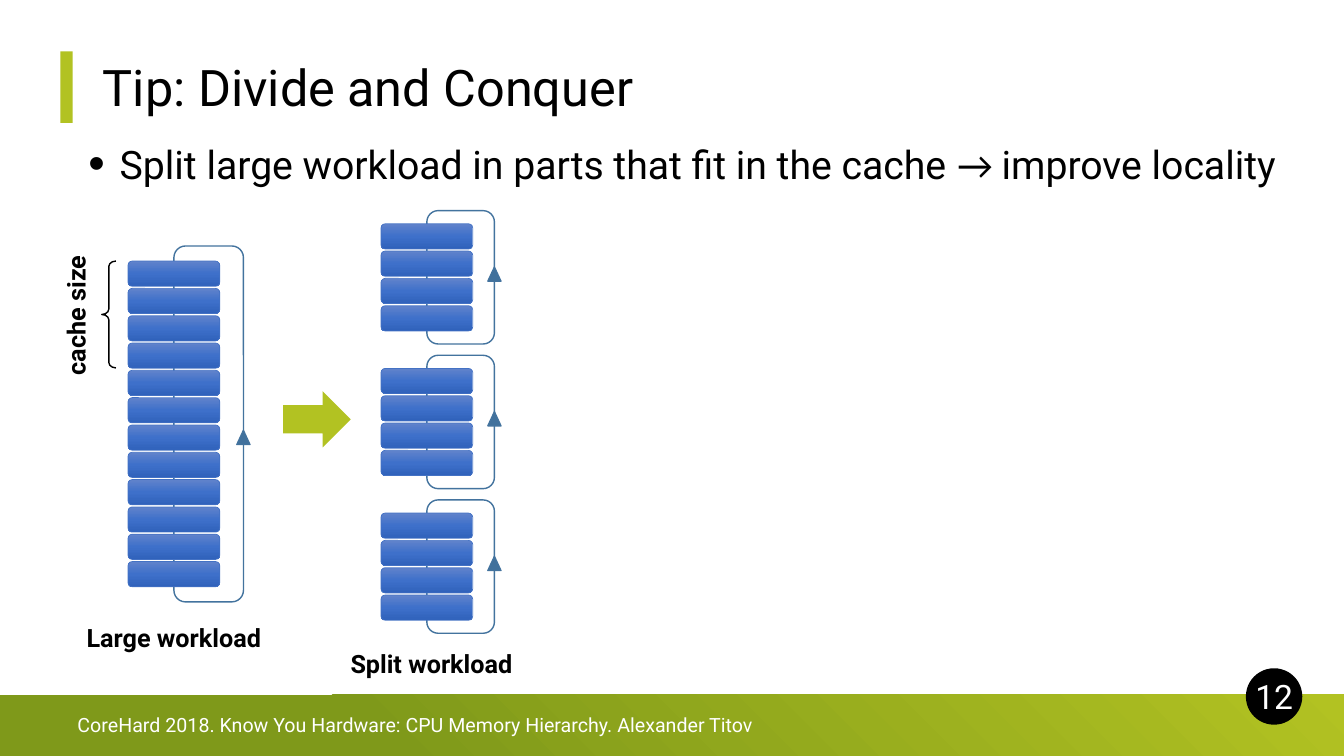
"""Build the slide on splitting a large workload into cache-sized parts."""
from copy import deepcopy
from dataclasses import dataclass

from lxml import etree
from pptx import Presentation
from pptx.dml.color import RGBColor
from pptx.enum.shapes import MSO_SHAPE
from pptx.enum.text import MSO_ANCHOR, MSO_AUTO_SIZE, PP_ALIGN
from pptx.oxml.ns import qn
from pptx.util import Emu, Inches, Pt

RECT, ROUNDED = MSO_SHAPE.RECTANGLE, MSO_SHAPE.ROUNDED_RECTANGLE
OVAL, TRIANGLE = MSO_SHAPE.OVAL, MSO_SHAPE.ISOSCELES_TRIANGLE
BRACE, ARROW = MSO_SHAPE.LEFT_BRACE, MSO_SHAPE.RIGHT_ARROW
LEFT, CENTER = PP_ALIGN.LEFT, PP_ALIGN.CENTER
TOP, MIDDLE, BOTTOM = MSO_ANCHOR.TOP, MSO_ANCHOR.MIDDLE, MSO_ANCHOR.BOTTOM
NO_AUTOFIT = MSO_AUTO_SIZE.NONE

GRID = Inches(0.1)
COLUMNS, ROWS = 133.33, 75
BLOCK_WIDTH, BLOCK_HEIGHT, BLOCK_PITCH = 9.1, 2.5, 2.71
MARK_WIDTH, MARK_HEIGHT = 1.3, 1.4
SPLIT_PITCH = 14.35
TITLE_ONLY = 5


@dataclass(frozen=True)
class Theme:
    """Colours, fonts and type sizes of the slide."""
    ink: str = "000000"
    paper: str = "FFFFFF"
    accent: str = "B2C222"
    loop: str = "43739E"
    mark: str = "41719C"
    block_edge: str = "4472C4"
    band: tuple = ((0, "7F991A"), (0.28, "7F991A"), (1, "B2C222"))
    block: tuple = ((0, "6183CB"), (0.5, "3E70CA"), (1, "3062BB"))
    font: str = "Roboto"
    arrow_font: str = "Calibri"
    title: int = 36
    body: int = 28
    number: int = 24
    label: int = 18
    footer: int = 14


THEME = Theme()


@dataclass(frozen=True)
class Area:
    """A rectangle in grid columns and rows."""
    column: float
    row: float
    width: float
    height: float

    def box(self) -> tuple:
        """Return left, top, width and height in EMU."""
        return tuple(Emu(round(cells * GRID)) for cells in
                     (self.column, self.row, self.width, self.height))


@dataclass(frozen=True)
class Words:
    """One run of text and its format."""
    text: str
    size: int
    color: str = THEME.ink
    bold: bool = False
    font: str = THEME.font


@dataclass(frozen=True)
class Label:
    """A text box made of runs."""
    area: Area
    runs: tuple
    align: int = CENTER
    anchor: int = MIDDLE
    wrap: bool = False
    turn: int = 0


@dataclass(frozen=True)
class Stack:
    """Blocks of a workload with the loop that runs over them."""
    column: float
    row: float
    count: int
    loop_width: float
    overhang: float
    mark_row: float


STACKS = (
    Stack(12.7, 25.9, 12, 6.9, 1.5, 42.7),
    *(Stack(37.8, 22.2 + part * SPLIT_PITCH, 4, 6.7, 1.3,
            26.5 + part * SPLIT_PITCH) for part in range(3)),
)

LABELS = (
    Label(Area(6.7, 69.5, 110, 4.8),
          (Words("CoreHard 2018. Know You Hardware: CPU Memory Hierarchy. "
                 "Alexander Titov", THEME.footer, THEME.paper),),
          align=LEFT, wrap=True),
    Label(Area(122.8, 66.3, 7.2, 5.6),
          (Words("12", THEME.number, THEME.paper),), wrap=True),
    Label(Area(94, 13.4, 34, 5.7),
          (Words("→ ", THEME.body, font=THEME.arrow_font),
           Words("improve locality", THEME.body)), align=LEFT, anchor=TOP),
    Label(Area(0.5, 29.3, 14, 4),
          (Words("cache size", THEME.label, bold=True),), turn=270),
    Label(Area(7.5, 61.2, 19.5, 4),
          (Words("Large workload", THEME.label, bold=True),)),
    Label(Area(33.7, 63.8, 18.2, 4),
          (Words("Split workload", THEME.label, bold=True),)),
)


def add_runs(paragraph, runs: tuple) -> None:
    """Append formatted runs to a paragraph."""
    for words in runs:
        run = paragraph.add_run()
        run.text = words.text
        run.font.size = Pt(words.size)
        run.font.name = words.font
        run.font.bold = words.bold
        run.font.color.rgb = RGBColor.from_string(words.color)


def add_label(slide, label: Label):
    """Draw a text box and return its paragraph."""
    box = slide.shapes.add_textbox(*label.area.box())
    box.rotation = label.turn
    frame = box.text_frame
    frame.word_wrap = label.wrap
    frame.vertical_anchor = label.anchor
    paragraph = frame.paragraphs[0]
    paragraph.alignment = label.align
    add_runs(paragraph, label.runs)
    return paragraph


def add_form(slide, kind: int, area: Area, fill: str = "", line: str = "",
             line_width: float = 1):
    """Draw a preset shape with an optional solid fill and line."""
    form = slide.shapes.add_shape(kind, *area.box())
    form.shadow.inherit = False
    if fill:
        form.fill.solid()
        form.fill.fore_color.rgb = RGBColor.from_string(fill)
    else:
        form.fill.background()
    if line:
        form.line.color.rgb = RGBColor.from_string(line)
        form.line.width = Pt(line_width)
    else:
        form.line.fill.background()
    return form


def shade(form, stops: tuple, angle: int) -> None:
    """Fill a shape with a linear gradient of three stops."""
    form.fill.gradient()
    form.fill.gradient_angle = angle
    stop_list = next(form.element.iter(qn("a:gsLst")))
    stop_list.append(deepcopy(stop_list[0]))
    for stop, (position, color) in zip(form.fill.gradient_stops, stops):
        stop.position = position
        stop.color.rgb = RGBColor.from_string(color)


def add_stack(slide, stack: Stack) -> None:
    """Draw a loop, its direction mark and the blocks over it."""
    middle = stack.column + BLOCK_WIDTH / 2
    blocks_height = (stack.count - 1) * BLOCK_PITCH + BLOCK_HEIGHT
    add_form(slide, ROUNDED,
             Area(middle, stack.row - stack.overhang, stack.loop_width,
                  blocks_height + 2 * stack.overhang),
             THEME.paper, THEME.loop)
    add_form(slide, TRIANGLE,
             Area(middle + stack.loop_width - MARK_WIDTH / 2, stack.mark_row,
                  MARK_WIDTH, MARK_HEIGHT), THEME.mark, THEME.loop)
    for index in range(stack.count):
        block = add_form(slide, ROUNDED,
                         Area(stack.column, stack.row + index * BLOCK_PITCH,
                              BLOCK_WIDTH, BLOCK_HEIGHT),
                         line=THEME.block_edge, line_width=0.5)
        shade(block, THEME.block, 270)


def add_title(slide) -> None:
    """Place and format the title."""
    title = slide.shapes.title
    title.left, title.top, title.width, title.height = Area(
        9.2, 0, 115, 12.2).box()
    frame = title.text_frame
    frame.auto_size = NO_AUTOFIT
    frame.vertical_anchor = BOTTOM
    paragraph = frame.paragraphs[0]
    paragraph.alignment = LEFT
    paragraph.line_spacing = 0.9
    add_runs(paragraph, (Words("Tip: Divide and Conquer", THEME.title),))


def add_tip(slide) -> None:
    """Draw the bulleted advice."""
    advice = Words("Split large workload in parts that fit in the cache",
                   THEME.body)
    paragraph = add_label(slide, Label(Area(7.8, 14.3, 89, 4.8), (advice,),
                                       LEFT, TOP, True))
    paragraph.line_spacing = 0.8
    properties = paragraph._p.get_or_add_pPr()
    properties.set("marL", str(Inches(0.31)))
    properties.set("indent", str(-Inches(0.31)))
    etree.SubElement(properties, qn("a:buSzPct")).set("val", "120000")
    etree.SubElement(properties, qn("a:buFont")).set("typeface", "Arial")
    etree.SubElement(properties, qn("a:buChar")).set("char", "•")


def main() -> None:
    """Assemble and save the slide."""
    deck = Presentation()
    deck.slide_width, deck.slide_height = Area(0, 0, COLUMNS, ROWS).box()[2:]
    slide = deck.slides.add_slide(deck.slide_layouts[TITLE_ONLY])
    band = add_form(slide, RECT, Area(0, 68.9, COLUMNS, 6.1))
    shade(band, THEME.band, 45)
    add_form(slide, RECT, Area(6, 5.1, 1.2, 7.1), THEME.accent)
    add_form(slide, OVAL, Area(123.6, 66.3, 5.6, 5.6), THEME.ink)
    add_title(slide)
    add_tip(slide)
    for stack in STACKS:
        add_stack(slide, stack)
    brace = add_form(slide, BRACE, Area(10.1, 25.9, 1.4, 10.6),
                     line=THEME.ink)
    brace.adjustments[0] = 0.38
    add_form(slide, ARROW, Area(28.1, 38.8, 6.7, 5.6), THEME.accent)
    for label in LABELS:
        add_label(slide, label)
    deck.save("out.pptx")


if __name__ == "__main__":
    main()
